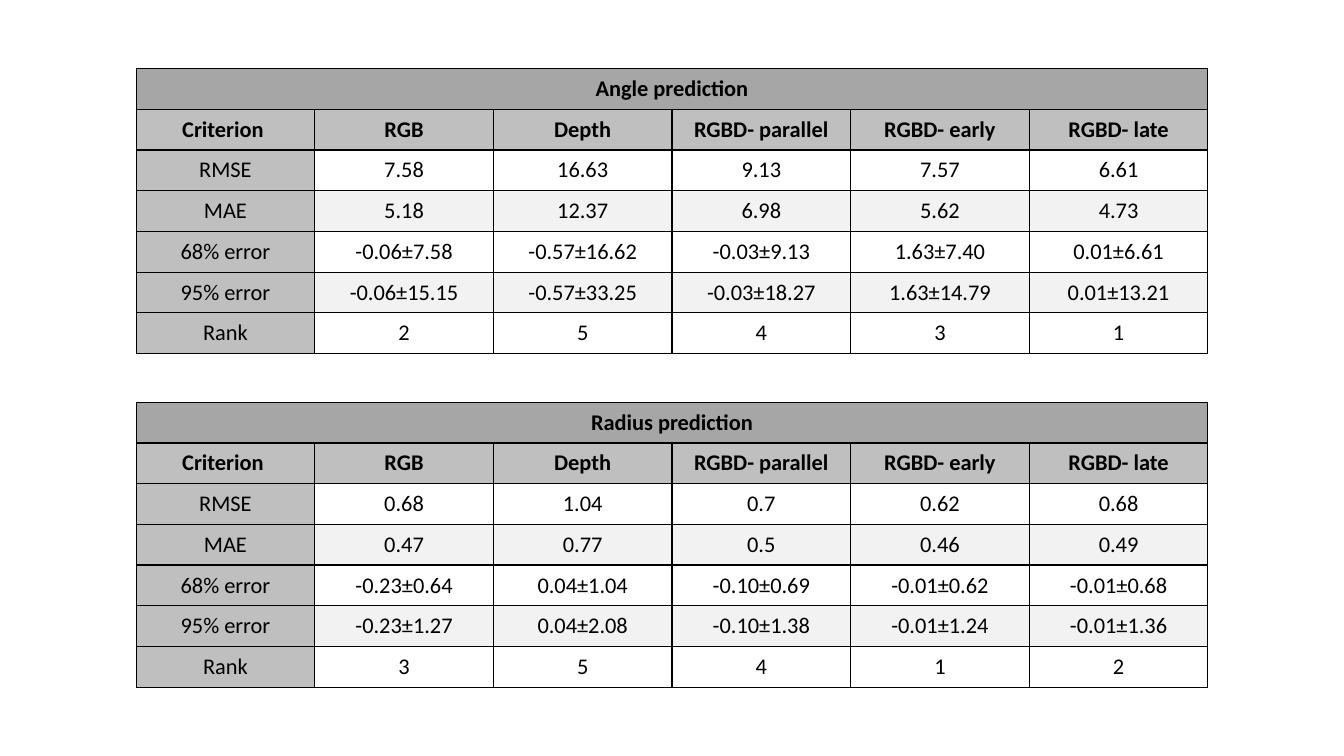
from dataclasses import dataclass

from lxml import etree
from pptx import Presentation
from pptx.dml.color import RGBColor
from pptx.enum import text
from pptx.oxml import ns
from pptx.util import Inches, Pt


@dataclass(frozen=True)
class Theme:
    font: str = "Calibri"
    size: int = 16
    ink: str = "000000"
    title: str = "A6A6A6"
    label: str = "BFBFBF"
    plain: str = "FFFFFF"
    band: str = "F2F2F2"
    border: int = 1


THEME = Theme()

# Wording and results
HEADINGS = ["Criterion ", "RGB", "Depth", "RGBD- parallel", "RGBD- early", "RGBD- late"]
CRITERIA = ["RMSE", "MAE", "68% error", "95% error", "Rank"]
ANGLE = [
    ["7.58", "16.63", "9.13", "7.57", "6.61"],
    ["5.18", "12.37", "6.98", "5.62", "4.73"],
    ["-0.06±7.58", "-0.57±16.62", "-0.03±9.13", "1.63±7.40", "0.01±6.61"],
    ["-0.06±15.15", "-0.57±33.25", "-0.03±18.27", "1.63±14.79", "0.01±13.21"],
    ["2", "5", "4", "3", "1"],
]
RADIUS = [
    ["0.68", "1.04", "0.7", "0.62", "0.68"],
    ["0.47", "0.77", "0.5", "0.46", "0.49"],
    ["-0.23±0.64", "0.04±1.04", "-0.10±0.69", "-0.01±0.62", "-0.01±0.68"],
    ["-0.23±1.27", "0.04±2.08", "-0.10±1.38", "-0.01±1.24", "-0.01±1.36"],
    ["3", "5", "4", "1", "2"],
]


def add_borders(cell):
    """Draw all four sides; must run before the cell is filled."""
    properties = cell._tc.get_or_add_tcPr()
    for side in ("a:lnL", "a:lnR", "a:lnT", "a:lnB"):
        line = etree.SubElement(properties, ns.qn(side), w=str(Pt(THEME.border)))
        fill = etree.SubElement(line, ns.qn("a:solidFill"))
        etree.SubElement(fill, ns.qn("a:srgbClr"), val=THEME.ink)


def style_cell(cell, wording, color, bold):
    add_borders(cell)
    cell.fill.solid()
    cell.fill.fore_color.rgb = RGBColor.from_string(color)
    cell.vertical_anchor = text.MSO_ANCHOR.MIDDLE
    cell.text = wording
    para = cell.text_frame.paragraphs[0]
    para.alignment = text.PP_ALIGN.CENTER
    para.font.name = THEME.font
    para.font.size = Pt(THEME.size)
    para.font.bold = bold
    para.font.color.rgb = RGBColor.from_string(THEME.ink)


def cell_color(row, column):
    if row == 0:
        return THEME.title
    if row == 1 or column == 0:
        return THEME.label
    return THEME.band if row % 2 else THEME.plain


def add_results(page, top, title, results):
    # The title fills the first row, which is merged into one cell
    title_row = [title] + [""] * (len(HEADINGS) - 1)
    body = [[criterion, *values] for criterion, values in zip(CRITERIA, results)]
    rows = [title_row, HEADINGS, *body]
    table = page.shapes.add_table(
        len(rows), len(HEADINGS), Inches(1.35), Inches(top), Inches(10.63), Inches(2.83)
    ).table
    table.first_row = False
    table.horz_banding = False
    for r, row in enumerate(rows):
        for c, wording in enumerate(row):
            style_cell(table.cell(r, c), wording, cell_color(r, c), bold=r < 2)

    title_cell = table.cell(0, 0)
    title_cell.merge(table.cell(0, len(HEADINGS) - 1))
    title_cell.margin_left = title_cell.margin_right = Inches(0.11)
    title_cell.margin_top = title_cell.margin_bottom = Inches(0.06)


def main():
    deck = Presentation()
    deck.slide_width = Inches(13.33)
    deck.slide_height = Inches(7.5)
    page = deck.slides.add_slide(deck.slide_layouts[6])

    # One table for each predicted quantity
    add_results(page, 0.68, "Angle prediction", ANGLE)
    add_results(page, 3.99, "Radius prediction", RADIUS)

    deck.save("out.pptx")


if __name__ == "__main__":
    main()
